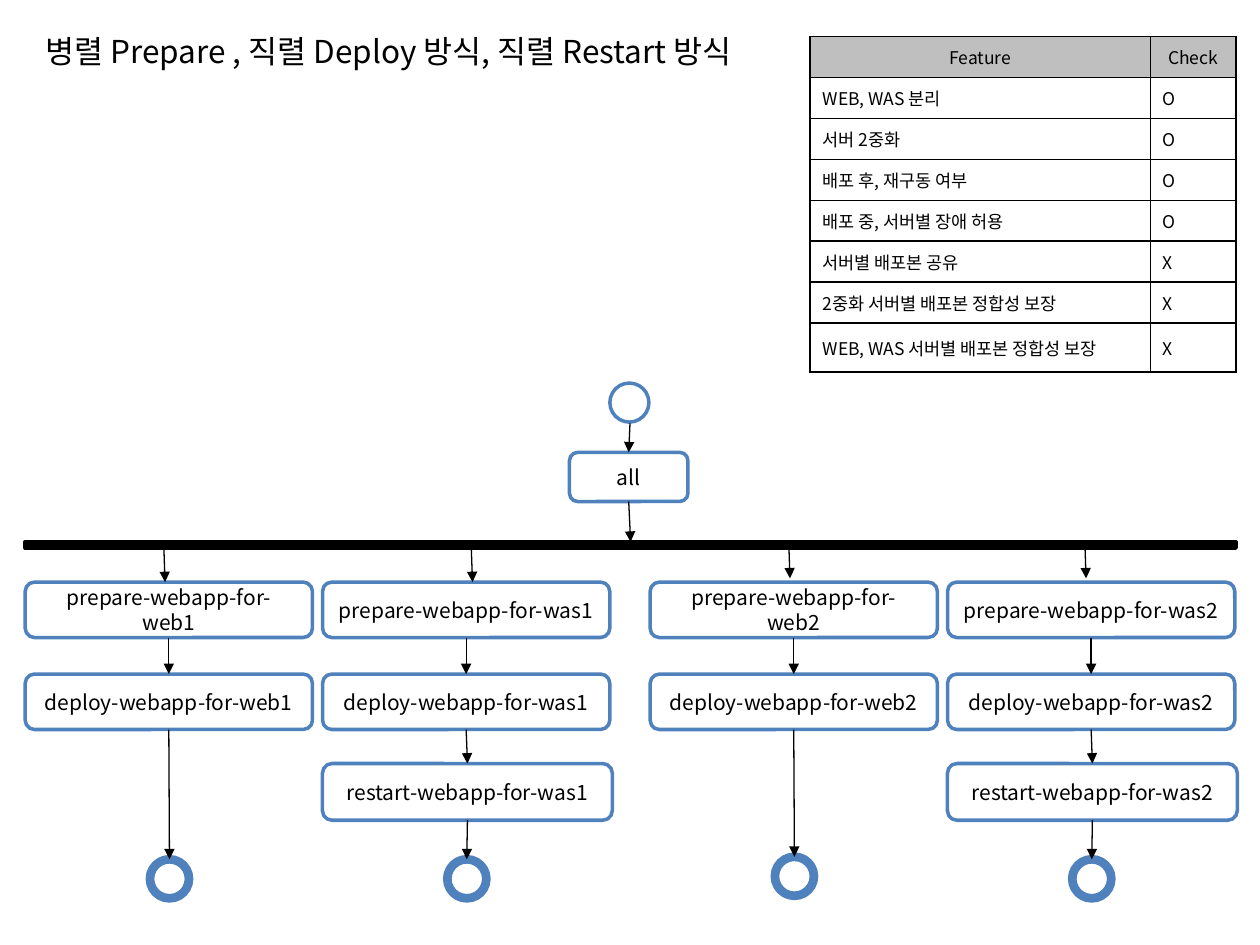
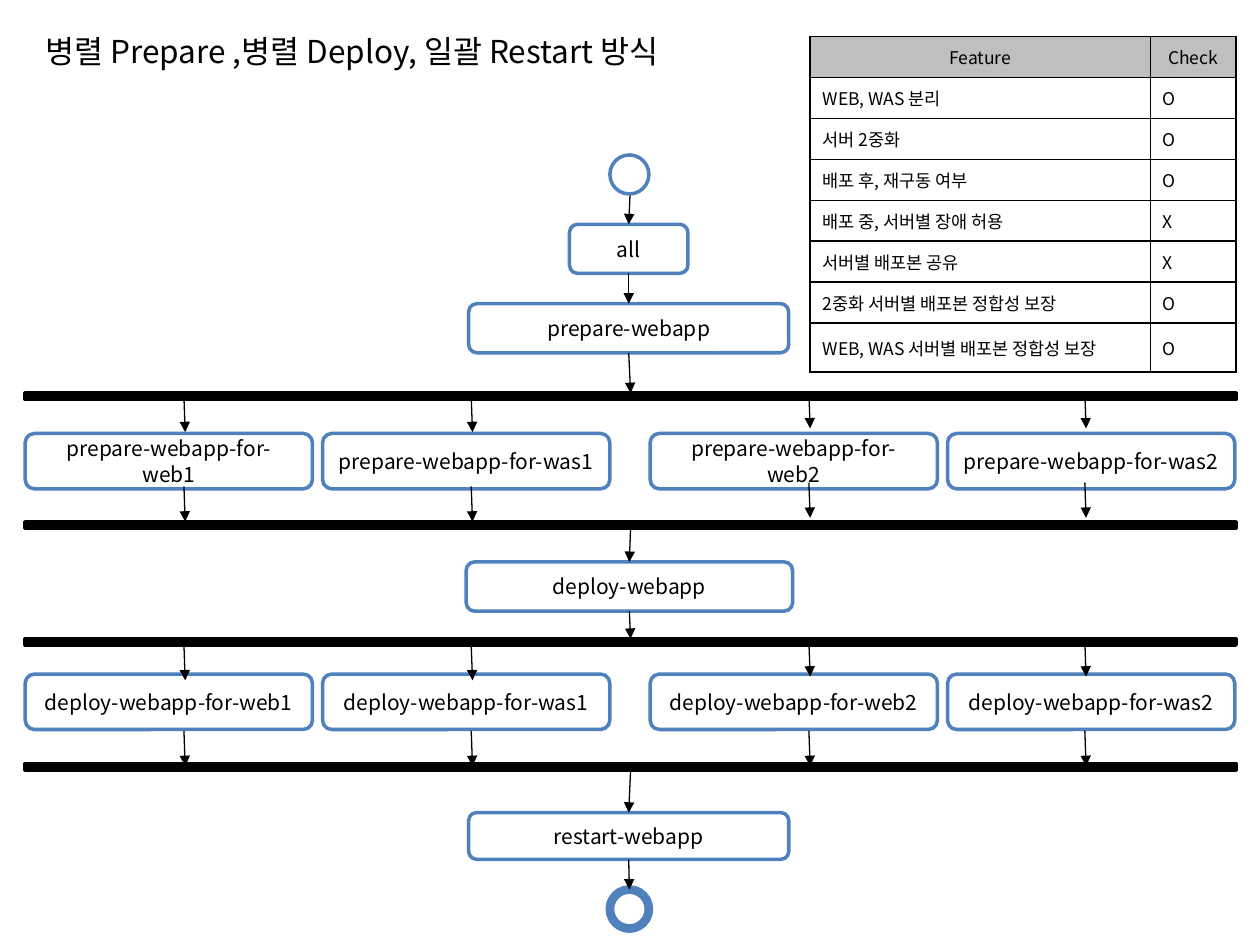
from lxml import etree
from pptx import Presentation
from pptx.dml.color import RGBColor
from pptx.enum.shapes import MSO_CONNECTOR as CONN, MSO_SHAPE as MS
from pptx.enum.text import MSO_ANCHOR as ANCHOR, MSO_AUTO_SIZE as AUTO, PP_ALIGN as ALIGN
from pptx.oxml import parse_xml
from pptx.oxml.ns import nsdecls, qn
from pptx.util import Inches as In, Pt

# Shared look
FONT = "Noto Sans CJK KR"
BLACK, WHITE, BLUE, GRAY = "000000", "FFFFFF", "4F81BD", "BFBFBF"
rgb = RGBColor.from_string

# Shared grid, in inches: two servers, each with a web and a was lane
W, H = 10, 7.5
LEFT, FULL_W = 0.02 * W, 0.961 * W
MID = W / 2
SERVERS = [LEFT, LEFT + 4.96]
LANES = [x + step for x in SERVERS for step in (0, 2.36)]
NAMES = ["web1", "was1", "web2", "was2"]
LANE_W, LANE_H = 2.28, 0.44
BOX_H, BAR_H, DOT = 0.39, 0.05, 0.31
DEPLOY_Y = 5.35

FEATURES = ["WEB, WAS 분리", "서버 2중화", "배포 후, 재구동 여부",
            "배포 중, 서버별 장애 허용", "서버별 배포본 공유",
            "2중화 서버별 배포본 정합성 보장", "WEB, WAS 서버별 배포본 정합성 보장"]
PAGES = [("병렬 Prepare , 직렬 Deploy 방식, 직렬 Restart 방식", 6.02, "OOOOXXX"),
         ("병렬 Prepare ,병렬 Deploy, 일괄 Restart 방식", 5.32, "OOOXXOO")]


def node(s, kind, x, y, w, h, text="", fill=WHITE, line=BLUE, weight=2):
    sp = s.shapes.add_shape(kind, In(x), In(y), In(w), In(h))
    sp.shadow.inherit = False
    sp.fill.solid()
    sp.fill.fore_color.rgb = rgb(fill)
    sp.line.color.rgb = rgb(line)
    sp.line.width = Pt(weight)
    tf = sp.text_frame
    tf.word_wrap = True
    tf.vertical_anchor = ANCHOR.MIDDLE
    if text:
        tf.text = text
        tf.paragraphs[0].alignment = ALIGN.CENTER
    return sp


def arrow(s, start, end):
    """Join two ends, each a shape or an (x, y) point, from bottom to top."""
    points = [e if isinstance(e, tuple) else (0, 0) for e in (start, end)]
    cn = s.shapes.add_connector(CONN.STRAIGHT, *[In(v) for pt in points for v in pt])
    if not isinstance(start, tuple):
        cn.begin_connect(start, 2)
    if not isinstance(end, tuple):
        cn.end_connect(end, 0)
    cn.line.color.rgb = rgb(BLACK)
    cn.line.width = Pt(0.75)
    etree.SubElement(cn.line._get_or_add_ln(), qn("a:tailEnd"), type="triangle")
    etree.SubElement(cn._element.spPr, qn("a:effectLst"))


prs = Presentation()
prs.slide_width, prs.slide_height = In(W), In(H)

# Title and feature table on every slide
for title, title_w, checks in PAGES:
    s = prs.slides.add_slide(prs.slide_layouts[5])
    sp = s.shapes.title
    sp.left, sp.top, sp.width, sp.height = In(0.26), In(0.2), In(title_w), In(0.4)
    tf = sp.text_frame
    tf.text = title
    tf.word_wrap = True
    tf.auto_size = AUTO.SHAPE_TO_FIT_TEXT
    tf.vertical_anchor = ANCHOR.TOP
    tf.paragraphs[0].alignment = ALIGN.LEFT

    rows = [("Feature", "Check"), *zip(FEATURES, checks)]
    tbl = s.shapes.add_table(len(rows), 2, In(6.43), In(0.29), In(3.38), In(2.67)).table
    tbl.first_row = tbl.horz_banding = False
    tbl.columns[0].width, tbl.columns[1].width = In(2.7), In(0.68)
    for i, row in enumerate(rows):
        tbl.rows[i].height = In(0.39 if i == len(rows) - 1 else 0.325)
        for j, text in enumerate(row):
            cell = tbl.cell(i, j)
            cell.text = text
            cell.vertical_anchor = ANCHOR.MIDDLE
            if i == 0:
                cell.fill.solid()
                cell.fill.fore_color.rgb = rgb(GRAY)
                cell.text_frame.paragraphs[0].alignment = ALIGN.CENTER
            else:
                cell.fill.background()
            for k, side in enumerate("LRTB"):
                cell._tc.get_or_add_tcPr().insert(k, parse_xml(
                    f'<a:ln{side} {nsdecls("a")} w="12700"><a:solidFill>'
                    f'<a:srgbClr val="{BLACK}"/></a:solidFill></a:ln{side}>'))

serial, batch = prs.slides

# Slide 1: start, all and the fork bar
s = serial
start = node(s, MS.OVAL, 4.84, 3.04, DOT, DOT)
top = node(s, MS.ROUNDED_RECTANGLE, 4.52, 3.59, 0.94, BOX_H, "all")
bar = node(s, MS.RECTANGLE, LEFT, 4.3, FULL_W, BAR_H, fill=BLACK, line=BLACK)
arrow(s, (MID, 3.36), top)
arrow(s, top, bar)

# Slide 1: each lane runs on its own to its end point
drops = [(1.3, 4.33), (3.74, 4.33), (6.26, 4.3), (8.61, 4.3)]
for x, name, (drop_x, drop_y) in zip(LANES, NAMES, drops):
    prepare = node(s, MS.ROUNDED_RECTANGLE, x, 4.62, LANE_W, LANE_H,
                   f"prepare-webapp-for-{name}")
    last = node(s, MS.ROUNDED_RECTANGLE, x, DEPLOY_Y, LANE_W, LANE_H,
                f"deploy-webapp-for-{name}")
    arrow(s, (drop_x, drop_y), (drop_x + 0.01, drop_y + 0.29))
    arrow(s, prepare, last)
    if name.startswith("was"):
        restart = node(s, MS.ROUNDED_RECTANGLE, x, 6.06, LANE_W + 0.02, 0.45,
                       f"restart-webapp-for-{name}")
        arrow(s, last, restart)
        last = restart
    end_y = 6.8 if name == "web2" else 6.82
    end = node(s, MS.OVAL, x + 0.99, end_y, DOT, DOT, weight=5)
    arrow(s, last, end)

# Slide 2: bars and lane boxes
s = batch
bars = [node(s, MS.RECTANGLE, LEFT, y, FULL_W, BAR_H, fill=BLACK, line=BLACK)
        for y in (3.12, 4.14, 5.07, 6.06)]
for task, y in [("prepare", 3.44), ("deploy", DEPLOY_Y)]:
    for x, name in zip(LANES, NAMES):
        node(s, MS.ROUNDED_RECTANGLE, x, y, LANE_W, LANE_H, f"{task}-webapp-for-{name}")

# Slide 2: central column
start = node(s, MS.OVAL, 4.84, 1.23, DOT, DOT)
top, prepare, deploy, restart = [
    node(s, MS.ROUNDED_RECTANGLE, x, y, w, h, text) for x, y, w, h, text in [
        (4.52, 1.78, 0.94, BOX_H, "all"),
        (3.72, 2.41, 2.54, BOX_H, "prepare-webapp"),
        (3.7, 4.46, 2.59, BOX_H, "deploy-webapp"),
        (3.72, 6.45, 2.54, 0.37, "restart-webapp")]]
end = node(s, MS.OVAL, 4.84, 7.06, DOT, DOT, weight=5)
for a, b in [((MID, 1.55), top), (top, prepare), (prepare, bars[0]), (bars[1], deploy),
             (deploy, bars[2]), (bars[3], restart), (restart, end)]:
    arrow(s, a, b)

# Slide 2: arrows into and out of the lanes, server 2 slightly higher
for y, lift in [(3.15, 0.03), (3.86, 0.03), (5.12, 0.03), (5.8, 0)]:
    for x, rise in [(1.46, 0), (3.74, 0), (6.42, lift), (8.61, lift)]:
        arrow(s, (x, y - rise), (x + 0.01, y - rise + 0.28))

# One font and colour for all text
for s in prs.slides:
    for sp in s.shapes:
        if sp.has_table:
            size, frames = 10, [c.text_frame for c in sp.table.iter_cells()]
        else:
            size = 18 if sp.is_placeholder else 12
            frames = [sp.text_frame] if sp.has_text_frame else []
        for r in [r for tf in frames for p in tf.paragraphs for r in p.runs]:
            r.font.size = Pt(size)
            r.font.color.rgb = rgb(BLACK)
            r.font.name = FONT
            etree.SubElement(r._r.get_or_add_rPr(), qn("a:ea"), typeface=FONT)

prs.save("out.pptx")
